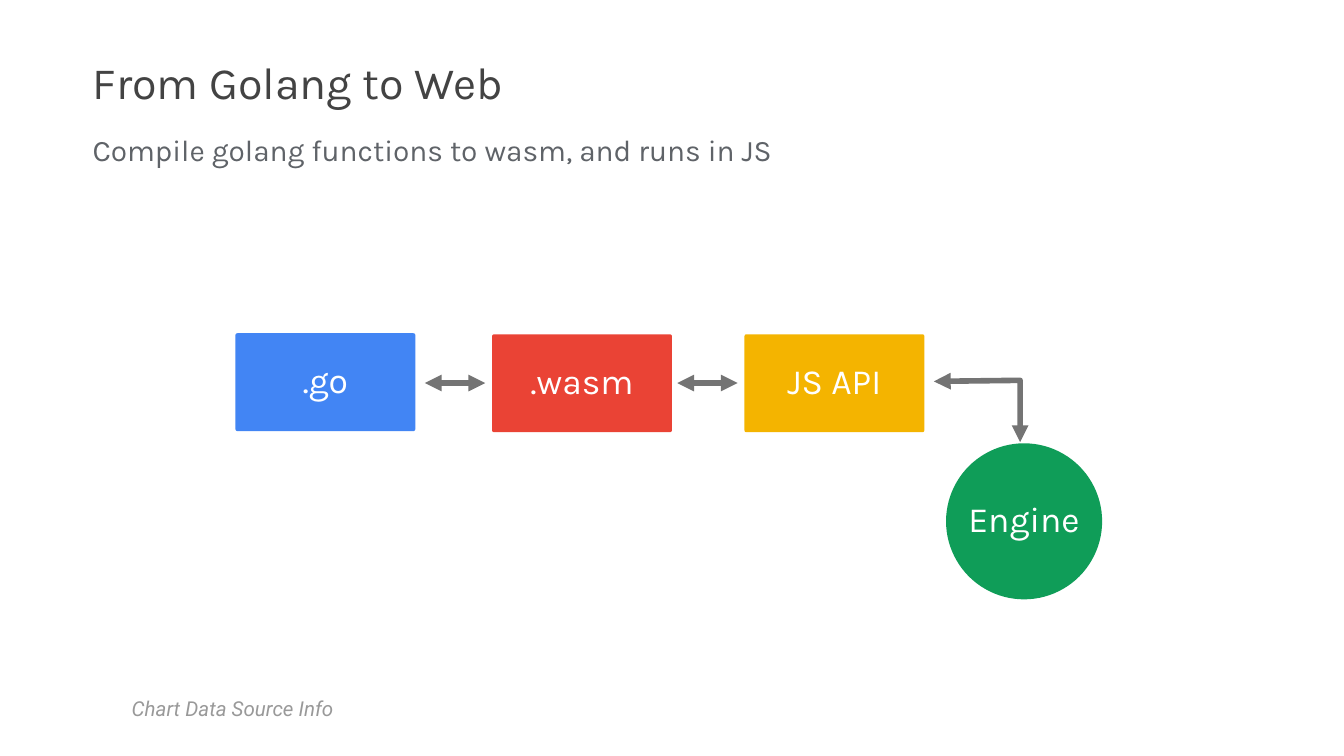
import pptx
import pptx.util
from lxml import etree
from pptx.dml.color import RGBColor
from pptx.enum.shapes import MSO_CONNECTOR, MSO_SHAPE
from pptx.enum.text import MSO_ANCHOR, MSO_AUTO_SIZE, PP_ALIGN
from pptx.oxml.ns import qn
from pptx.util import Cm, Pt

WHITE = RGBColor(0xFF, 0xFF, 0xFF)
BLUE = RGBColor(0x42, 0x85, 0xF4)
RED = RGBColor(0xEA, 0x43, 0x35)
YELLOW = RGBColor(0xF4, 0xB4, 0x00)
GREEN = RGBColor(0x0F, 0x9D, 0x58)
ARROW_GREY = RGBColor(0x74, 0x74, 0x74)
TITLE_GREY = RGBColor(0x43, 0x43, 0x43)
SUBTITLE_GREY = RGBColor(0x5F, 0x63, 0x68)
SOURCE_GREY = RGBColor(0x99, 0x99, 0x99)

TITLE = "From Golang to Web"
SUBTITLE = "Compile golang functions to wasm, and runs in JS"
SOURCE = "Chart Data Source Info"
# label, fill, left and top in cm
STAGES = [
    (".go", BLUE, 4.45, 6.3),
    (".wasm", RED, 9.3, 6.32),
    ("JS API", YELLOW, 14.07, 6.32),
]
ENGINE = ("Engine", GREEN, 17.88, 8.38)

STAGE_WIDTH, STAGE_HEIGHT = 3.4, 1.85
ENGINE_DIAMETER = 2.95
ARROW_Y, ARROW_LENGTH, ARROW_GAP = 7.24, 1.14, 0.13
ELBOW = [(17.65, 7.21), (19.28, 7.19), (19.28, 8.36)]


def write(shape, text, size, color, font="Karla", margin=0.15,
          alignment=PP_ALIGN.LEFT, anchor=MSO_ANCHOR.TOP, spacing=1.0, wrap=True):
    frame = shape.text_frame
    frame.text = text
    frame.word_wrap = wrap
    frame.auto_size = MSO_AUTO_SIZE.NONE
    frame.vertical_anchor = anchor
    frame.margin_left = frame.margin_right = Cm(margin)
    frame.margin_top = frame.margin_bottom = Cm(margin)
    paragraph = frame.paragraphs[0]
    paragraph.alignment = alignment
    paragraph.line_spacing = spacing
    paragraph.font.name = font
    paragraph.font.size = Pt(size)
    paragraph.font.color.rgb = color
    return paragraph


def add_node(slide, kind, node, width, height):
    label, fill, left, top = node
    shape = slide.shapes.add_shape(kind, Cm(left), Cm(top), Cm(width), Cm(height))
    shape.shadow.inherit = False
    shape.fill.solid()
    shape.fill.fore_color.rgb = fill
    shape.line.fill.background()
    write(shape, label, 19, WHITE, margin=0.08, alignment=PP_ALIGN.CENTER,
          anchor=MSO_ANCHOR.MIDDLE, spacing=0.9, wrap=False)
    return shape


def style_arrow(shape):
    """Give a line its grey stroke and a triangle at both ends, without shadow."""
    shape.line.color.rgb = ARROW_GREY
    shape.line.width = Pt(3)
    stroke = shape.line._get_or_add_ln()
    for end in ("a:headEnd", "a:tailEnd"):
        etree.SubElement(stroke, qn(end), type="triangle")
    etree.SubElement(shape._element.spPr, qn("a:effectLst"))


presentation = pptx.Presentation()
presentation.slide_width, presentation.slide_height = Cm(25.4), Cm(14.29)
slide = presentation.slides.add_slide(presentation.slide_layouts[5])

title = slide.shapes.title
title.left, title.top, title.width, title.height = Cm(1.6), Cm(0.89), Cm(14.8), Cm(1.6)
write(title, TITLE, 24, TITLE_GREY)

subtitle = slide.shapes.add_textbox(Cm(1.6), Cm(2.34), Cm(14.8), Cm(1.6))
write(subtitle, SUBTITLE, 16, SUBTITLE_GREY)

source = slide.shapes.add_textbox(Cm(2.24), Cm(12.83), Cm(10.87), Cm(1.12))
write(source, SOURCE, 11, SOURCE_GREY, font="Roboto", margin=0.25,
      spacing=1.15).font.italic = True

for stage in STAGES:
    box = add_node(slide, MSO_SHAPE.ROUNDED_RECTANGLE, stage, STAGE_WIDTH, STAGE_HEIGHT)
    box.adjustments[0] = 0.02
add_node(slide, MSO_SHAPE.OVAL, ENGINE, ENGINE_DIAMETER, ENGINE_DIAMETER)

for _, _, next_left, _ in STAGES[1:]:
    end = next_left - ARROW_GAP
    arrow = slide.shapes.add_connector(
        MSO_CONNECTOR.STRAIGHT, Cm(end - ARROW_LENGTH), Cm(ARROW_Y), Cm(end), Cm(ARROW_Y))
    style_arrow(arrow)

start, *corners = [(Cm(x), Cm(y)) for x, y in ELBOW]
builder = slide.shapes.build_freeform(*start)
builder.add_line_segments(corners, close=False)
elbow = builder.convert_to_shape()
elbow.fill.background()
style_arrow(elbow)

presentation.save("out.pptx")
